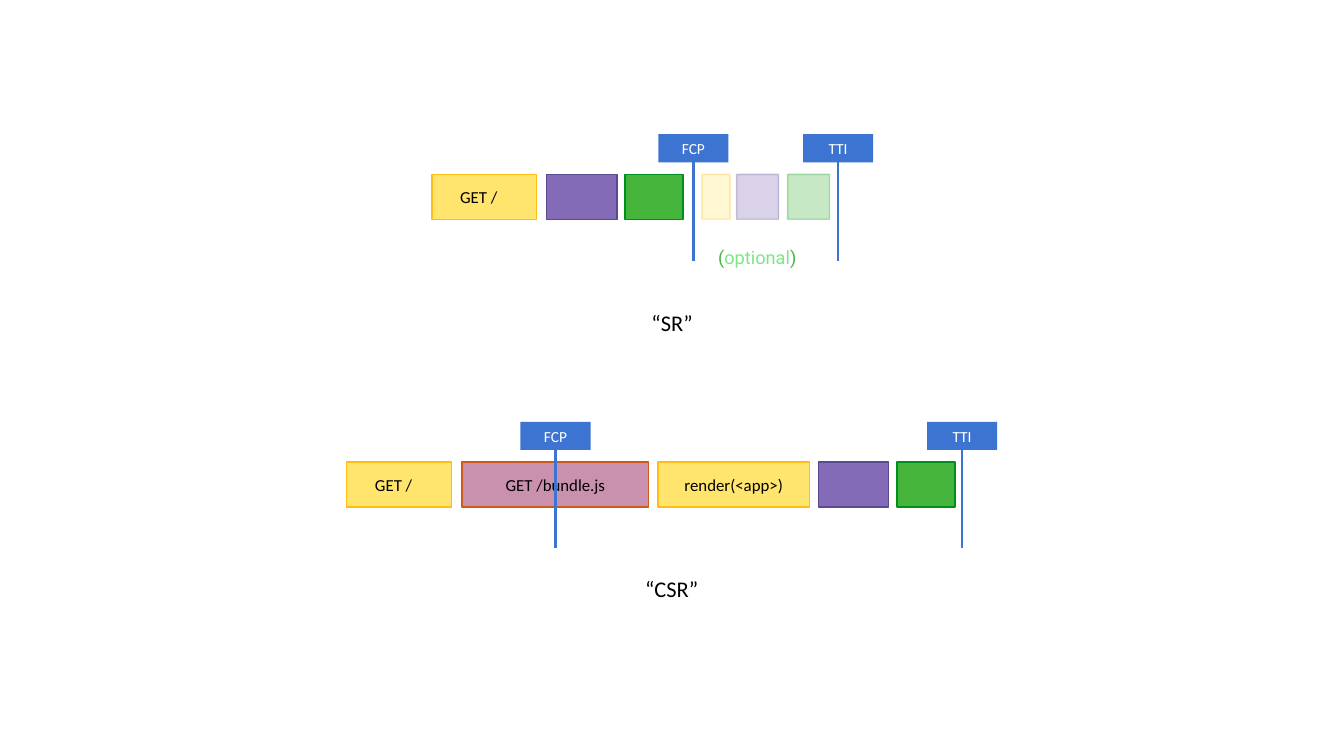
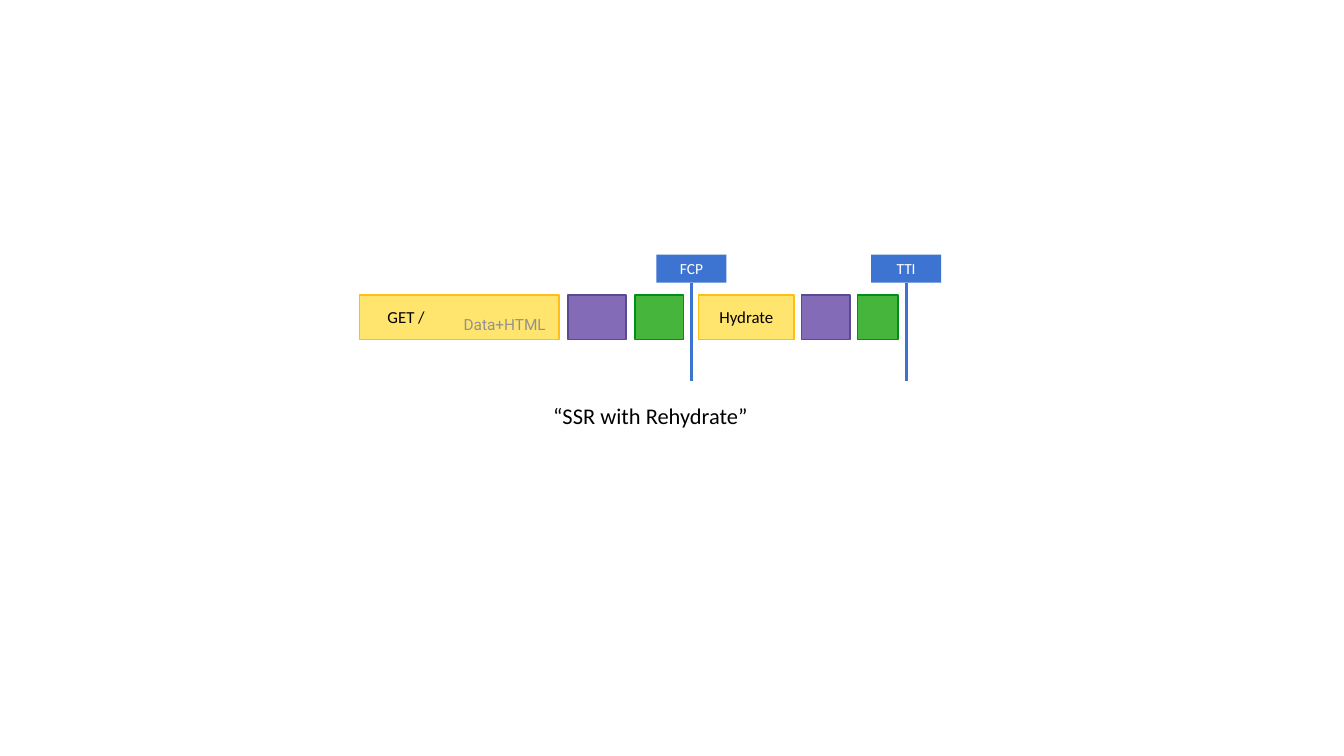
from dataclasses import dataclass
from typing import Optional

from lxml.etree import SubElement
from pptx import Presentation
from pptx.dml.color import RGBColor
from pptx.enum.shapes import MSO_CONNECTOR, MSO_SHAPE
from pptx.enum.text import MSO_ANCHOR, MSO_AUTO_SIZE, PP_ALIGN
from pptx.oxml.ns import qn
from pptx.shapes.autoshape import Shape
from pptx.slide import Slide
from pptx.util import Cm, Pt


@dataclass(frozen=True)
class Paint:
    fill: str
    line: str


@dataclass(frozen=True)
class Theme:
    request: Paint = Paint("FFE46D", "FFBD16")
    bundle: Paint = Paint("C991AD", "CD591A")
    layout: Paint = Paint("836BB7", "5A4A93")
    paint: Paint = Paint("45B53C", "008F1B")
    marker: str = "3E74D1"
    white: str = "FFFFFF"
    black: str = "000000"
    light_green: str = "7EE587"
    gray: str = "929292"
    font: str = "Calibri"
    note_font: str = "Roboto"
    caption_size: int = 32
    note_size: int = 26
    block_size: int = 24
    small_size: int = 22
    block_line: int = 2
    marker_line: int = 4
    faded_percent: int = 30


THEME = Theme()
BLOCK_HEIGHT = 2.26
FLAG_WIDTH = 3.53
FLAG_HEIGHT = 1.42
FLAG_RISE = 2.03
STEM_DROP = 4.34
CAPTION_HEIGHT = 1.75
TEXT_INSET = 0.15
REQUEST_INDENT = 1.27


@dataclass(frozen=True)
class Block:
    left: float
    width: float
    paint: Paint
    text: str = ""
    indented: bool = False
    faded: bool = False


@dataclass(frozen=True)
class Marker:
    center: float
    text: str


@dataclass(frozen=True)
class Caption:
    left: float
    top: float
    width: float
    text: str


@dataclass(frozen=True)
class Note:
    left: float
    top: float
    width: float
    height: float
    size: int
    pieces: tuple[tuple[str, str], ...]


@dataclass(frozen=True)
class Timeline:
    top: float
    blocks: tuple[Block, ...]
    markers: tuple[Marker, ...]
    caption: Caption
    note: Optional[Note] = None


SERVER = Timeline(
    8.79,
    (
        Block(21.77, 5.28, THEME.request, "GET /", indented=True),
        Block(27.56, 3.53, THEME.layout),
        Block(31.5, 2.92, THEME.paint),
        Block(35.38, 1.42, THEME.request, faded=True),
        Block(37.13, 2.11, THEME.layout, faded=True),
        Block(39.7, 2.11, THEME.paint, faded=True),
    ),
    (Marker(34.95, "FCP"), Marker(42.24, "TTI")),
    Caption(32.54, 15.37, 2.67, "“SR”"),
    Note(35.92, 12.22, 4.5, 1.65, THEME.note_size, (
        ("(", THEME.paint.fill),
        ("optional", THEME.light_green),
        (")", THEME.paint.fill),
    )),
)

CLIENT = Timeline(
    23.29,
    (
        Block(17.48, 5.28, THEME.request, "GET /", indented=True),
        Block(23.29, 9.4, THEME.bundle, "GET /bundle.js"),
        Block(33.17, 7.62, THEME.request, "render(<app>)"),
        Block(41.25, 3.53, THEME.layout),
        Block(45.21, 2.92, THEME.paint),
    ),
    (Marker(28, "FCP"), Marker(48.49, "TTI")),
    Caption(32.13, 28.78, 3.45, "“CSR”"),
)

REHYDRATE = Timeline(
    14.86,
    (
        Block(18.11, 10.06, THEME.request, "GET /", indented=True),
        Block(28.63, 2.92, THEME.layout),
        Block(32, 2.44, THEME.paint),
        Block(35.2, 4.83, THEME.request, "Hydrate"),
        Block(40.41, 2.44, THEME.layout),
        Block(43.21, 2.06, THEME.paint),
    ),
    (Marker(34.85, "FCP"), Marker(45.67, "TTI")),
    Caption(27, 20.09, 11.56, "“SSR with Rehydrate”"),
    Note(23.04, 15.7, 4.8, 1.45, THEME.small_size, (("Data+HTML", THEME.gray),)),
)


def color(value: str) -> RGBColor:
    return RGBColor.from_string(value)


def prepare_text(shape: Shape, wrap: bool = True) -> None:
    frame = shape.text_frame
    inset = Cm(TEXT_INSET)
    frame.margin_left = frame.margin_right = inset
    frame.margin_top = frame.margin_bottom = inset
    frame.vertical_anchor = MSO_ANCHOR.MIDDLE
    frame.word_wrap = wrap
    if not wrap:
        frame.auto_size = MSO_AUTO_SIZE.SHAPE_TO_FIT_TEXT
    frame.paragraphs[0].alignment = PP_ALIGN.CENTER


def write_text(shape: Shape, text: str, size: int, text_color: str) -> None:
    paragraph = shape.text_frame.paragraphs[0]
    paragraph.text = text
    font = paragraph.runs[0].font
    font.name = THEME.font
    font.size = Pt(size)
    font.color.rgb = color(text_color)


def add_box(slide: Slide, left: float, top: float, width: float, height: float, fill: str) -> Shape:
    shape = slide.shapes.add_shape(MSO_SHAPE.RECTANGLE, Cm(left), Cm(top), Cm(width), Cm(height))
    shape.shadow.inherit = False
    shape.fill.solid()
    shape.fill.fore_color.rgb = color(fill)
    shape.line.fill.background()
    return shape


def fade(shape: Shape) -> None:
    for element in shape.element.spPr.iter(qn("a:srgbClr")):
        SubElement(element, qn("a:alpha")).set("val", str(THEME.faded_percent * 1000))


def indent_first_line(shape: Shape) -> None:
    paragraph = shape.text_frame.paragraphs[0]
    paragraph.alignment = PP_ALIGN.LEFT
    paragraph.level = 1
    properties = paragraph._p.get_or_add_pPr()
    properties.set("marL", "0")
    properties.set("indent", str(Cm(REQUEST_INDENT)))


def add_block(slide: Slide, block: Block, top: float) -> None:
    shape = add_box(slide, block.left, top, block.width, BLOCK_HEIGHT, block.paint.fill)
    shape.line.color.rgb = color(block.paint.line)
    shape.line.width = Pt(THEME.block_line)
    if block.faded:
        fade(shape)
    if block.text:
        prepare_text(shape)
        write_text(shape, block.text, THEME.block_size, THEME.black)
    if block.indented:
        indent_first_line(shape)


def add_marker(slide: Slide, marker: Marker, top: float) -> None:
    flag_top = top - FLAG_RISE
    flag = add_box(slide, marker.center - FLAG_WIDTH / 2, flag_top, FLAG_WIDTH, FLAG_HEIGHT, THEME.marker)
    prepare_text(flag)
    write_text(flag, marker.text, THEME.small_size, THEME.white)
    center = Cm(marker.center)
    stem = slide.shapes.add_connector(
        MSO_CONNECTOR.STRAIGHT, center, Cm(top + STEM_DROP), center, Cm(flag_top + FLAG_HEIGHT)
    )
    stem.end_connect(flag, 2)
    stem.line.color.rgb = color(THEME.marker)
    stem.line.width = Pt(THEME.marker_line)
    SubElement(stem.element.spPr, qn("a:effectLst"))


def add_caption(slide: Slide, caption: Caption) -> None:
    shape = add_box(slide, caption.left, caption.top, caption.width, CAPTION_HEIGHT, THEME.white)
    prepare_text(shape, wrap=False)
    write_text(shape, caption.text, THEME.caption_size, THEME.black)


def add_note(slide: Slide, note: Note) -> None:
    shape = slide.shapes.add_textbox(Cm(note.left), Cm(note.top), Cm(note.width), Cm(note.height))
    prepare_text(shape, wrap=False)
    paragraph = shape.text_frame.paragraphs[0]
    paragraph.line_spacing = 0.9
    for text, text_color in note.pieces:
        run = paragraph.add_run()
        run.text = text
        run.font.name = THEME.note_font
        run.font.size = Pt(note.size)
        run.font.color.rgb = color(text_color)


def add_timeline(slide: Slide, timeline: Timeline) -> None:
    add_caption(slide, timeline.caption)
    for block in timeline.blocks:
        add_block(slide, block, timeline.top)
    for marker in timeline.markers:
        add_marker(slide, marker, timeline.top)
    if timeline.note:
        add_note(slide, timeline.note)


def main() -> None:
    presentation = Presentation()
    presentation.slide_width = Cm(67.74)
    presentation.slide_height = Cm(38.1)
    for timelines in ((SERVER, CLIENT), (REHYDRATE,)):
        slide = presentation.slides.add_slide(presentation.slide_layouts[6])
        for timeline in timelines:
            add_timeline(slide, timeline)
    presentation.save("out.pptx")


if __name__ == "__main__":
    main()
